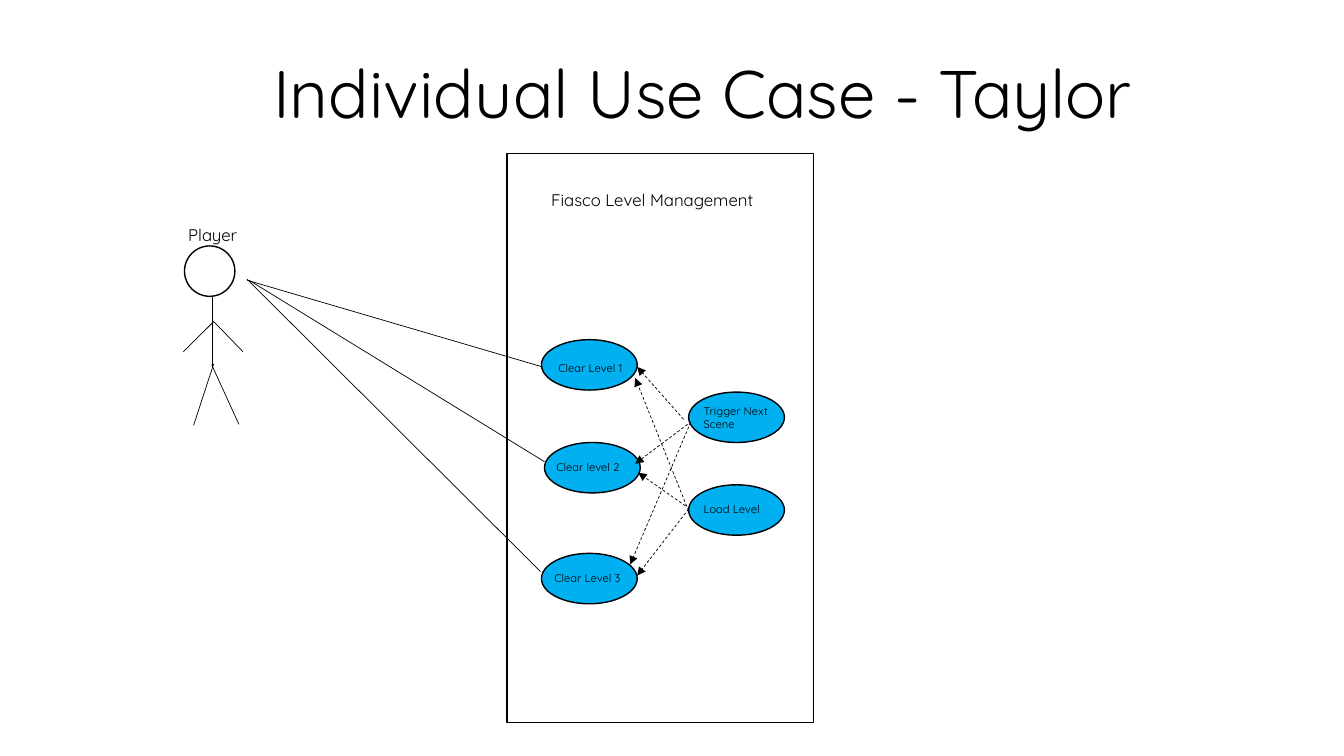
from dataclasses import dataclass
from lxml.etree import SubElement
from pptx import Presentation
from pptx.dml.color import RGBColor
from pptx.enum.dml import MSO_LINE
from pptx.enum.shapes import MSO_CONNECTOR, MSO_SHAPE
from pptx.enum.text import MSO_ANCHOR, PP_ALIGN
from pptx.oxml.ns import qn
from pptx.util import Inches, Pt


@dataclass(frozen=True)
class Theme:
    font: str = "Quicksand"
    ink: str = "000000"
    paper: str = "FFFFFF"
    bubble: str = "00B0F0"
    title_size: float = 48
    label_size: float = 12
    case_size: float = 8
    outline: float = 1
    thin: float = 0.5


THEME = Theme()
SLIDE_WIDTH, SLIDE_HEIGHT = 13.33, 7.5
BUBBLE_WIDTH, BUBBLE_HEIGHT = 0.95, 0.5

TITLE = ("Individual Use Case - Taylor", (2.61, 0.46, 9.07, 0.91))
ACTOR = ("Player", (1.64, 2.18, 0.94, 0.3))
SYSTEM = ("Fiasco Level Management", (4.97, 1.83, 3, 0.3))
SYSTEM_BOUNDARY = (5.03, 1.52, 3.04, 5.65)
HEAD = (1.83, 2.44, 0.5, 0.5)

USE_CASES = [
    ("Clear Level 1", (5.37, 3.37), (5.44, 3.54, 1.13, 0.24)),
    ("Clear level 2", (5.4, 4.39), (5.42, 4.52, 1.73, 0.24)),
    ("Clear Level 3", (5.37, 5.49), (5.4, 5.62, 0.91, 0.24)),
    ("Load Level", (6.83, 4.81), (6.88, 4.93, 1, 0.24)),
    ("Trigger Next Scene", (6.83, 3.89), (6.88, 3.96, 1, 0.37)),
]

LIMBS = [
    ((2.11, 2.95), (2.11, 3.65)),
    ((2.12, 3.19), (1.82, 3.49)),
    ((2.12, 3.19), (2.41, 3.49)),
    ((2.12, 3.61), (1.92, 4.22)),
    ((2.1, 3.62), (2.37, 4.21)),
]
ASSOCIATIONS = [
    ((2.45, 2.78), (5.38, 3.64)),
    ((2.47, 2.78), (5.4, 4.58)),
    ((2.45, 2.77), (5.36, 5.67)),
]
DEPENDENCIES = [
    ((6.78, 4.16), (6.32, 3.64)),
    ((6.85, 4.19), (6.25, 5.6)),
    ((6.83, 5.07), (6.3, 3.75)),
    ((6.8, 5.02), (6.33, 4.69)),
    ((6.83, 5.05), (6.32, 5.71)),
    ((6.82, 4.21), (6.3, 4.6)),
]


def color(value):
    return RGBColor.from_string(value)


def add_text(slide, text, area, size, align=PP_ALIGN.LEFT):
    frame = slide.shapes.add_textbox(*map(Inches, area)).text_frame
    frame.word_wrap = True
    frame.vertical_anchor = MSO_ANCHOR.TOP
    paragraph = frame.paragraphs[0]
    paragraph.alignment = align
    run = paragraph.add_run()
    run.text = text
    run.font.name = THEME.font
    run.font.size = Pt(size)
    run.font.color.rgb = color(THEME.ink)


def add_outline(slide, kind, area, fill):
    shape = slide.shapes.add_shape(kind, *map(Inches, area))
    shape.shadow.inherit = False
    shape.fill.solid()
    shape.fill.fore_color.rgb = color(fill)
    shape.line.color.rgb = color(THEME.ink)
    shape.line.width = Pt(THEME.outline)


def add_line(slide, start, end, dependency=False):
    connector = slide.shapes.add_connector(
        MSO_CONNECTOR.STRAIGHT, *map(Inches, start + end))
    connector.line.color.rgb = color(THEME.ink)
    connector.line.width = Pt(THEME.thin)
    if dependency:
        connector.line.dash_style = MSO_LINE.DASH
        SubElement(connector.line._get_or_add_ln(), qn("a:tailEnd"), type="triangle")
    SubElement(connector._element.spPr, qn("a:effectLst"))


def main():
    deck = Presentation()
    deck.slide_width, deck.slide_height = Inches(SLIDE_WIDTH), Inches(SLIDE_HEIGHT)
    slide = deck.slides.add_slide(deck.slide_layouts[6])

    add_outline(slide, MSO_SHAPE.RECTANGLE, SYSTEM_BOUNDARY, THEME.paper)
    add_text(slide, *TITLE, size=THEME.title_size)
    for label in (ACTOR, SYSTEM):
        add_text(slide, *label, size=THEME.label_size, align=PP_ALIGN.CENTER)

    add_outline(slide, MSO_SHAPE.FLOWCHART_CONNECTOR, HEAD, THEME.paper)
    for start, end in LIMBS:
        add_line(slide, start, end)

    for case, corner, label_area in USE_CASES:
        bubble = corner + (BUBBLE_WIDTH, BUBBLE_HEIGHT)
        add_outline(slide, MSO_SHAPE.OVAL, bubble, THEME.bubble)
        add_text(slide, case, label_area, size=THEME.case_size)

    for start, end in ASSOCIATIONS:
        add_line(slide, start, end)
    for start, end in DEPENDENCIES:
        add_line(slide, start, end, dependency=True)

    deck.save("out.pptx")


if __name__ == "__main__":
    main()
